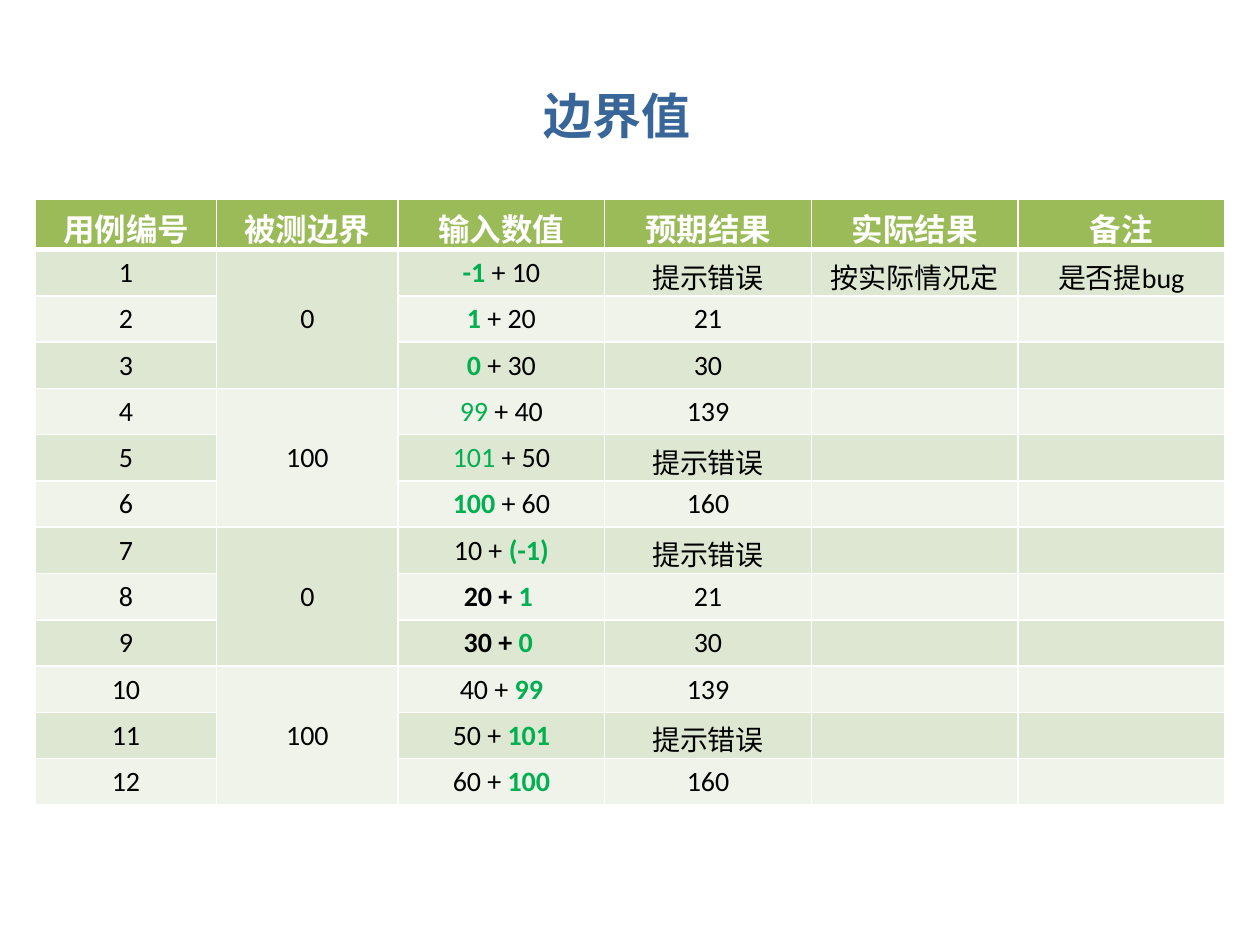
from lxml import etree
from pptx import Presentation
from pptx.dml.color import RGBColor
from pptx.enum.text import MSO_ANCHOR, PP_ALIGN
from pptx.oxml.ns import qn
from pptx.util import Inches, Pt

CENTER = PP_ALIGN.CENTER
MIDDLE = MSO_ANCHOR.MIDDLE
COLORS = {
    "title": "386698", "header": "9BBB59", "odd": "DEE7D1", "even": "EFF3EA",
    "border": "FFFFFF", "header_text": "FFFFFF", "text": "000000", "boundary": "00B050",
}
HEADERS = ["用例编号", "被测边界", "输入数值", "预期结果", "实际结果", "备注"]
BOUNDARIES = ["0", "100", "0", "100"]
CASES_PER_BOUNDARY = 3
# Runs of each input: text, colour name, bold
INPUTS = [
    [("-1 ", "boundary", True), ("+ 10", "text", False)],
    [("1 ", "boundary", True), ("+ 20", "text", False)],
    [("0 ", "boundary", True), ("+ 30", "text", False)],
    [("99", "boundary", False), (" + 40", "text", False)],
    [("101", "boundary", False), (" + 50", "text", False)],
    [("100", "boundary", True), (" + 60", "text", False)],
    [("10 + ", "text", False), ("(-1)", "boundary", True)],
    [("20 +", "text", True), (" 1 ", "boundary", True)],
    [("30 + ", "text", True), ("0 ", "boundary", True)],
    [("40 + ", "text", False), ("99", "boundary", True)],
    [("50 + ", "text", False), ("101", "boundary", True)],
    [("60 + ", "text", False), ("100", "boundary", True)],
]
EXPECTED = ["提示错误", "21", "30", "139", "提示错误", "160"] * 2
REMARKS = {1: ["按实际情况定", "是否提bug"]}


def write_runs(paragraph, runs, size, font_name):
    paragraph.alignment = CENTER
    for text, color, bold in runs:
        run = paragraph.add_run()
        run.text = text
        run.font.size = Pt(size)
        run.font.name = font_name
        run.font.bold = bold
        run.font.color.rgb = RGBColor.from_string(COLORS[color])
    if not runs:
        # An empty cell needs its text size too, or its row grows
        etree.SubElement(paragraph._p, qn("a:endParaRPr"), sz=str(size * 100))


def style_cell(cell, fill, top, bottom):
    """Set margins, anchor, borders (top and bottom widths in points) and fill."""
    cell.vertical_anchor = MIDDLE
    cell.margin_left = cell.margin_right = Inches(0.13)
    cell.margin_top = cell.margin_bottom = Inches(0.05)
    properties = cell._tc.get_or_add_tcPr()
    for side, width in (("L", 1), ("R", 1), ("T", top), ("B", bottom)):
        line = etree.SubElement(properties, qn(f"a:ln{side}"), w=str(Pt(width)))
        solid = etree.SubElement(line, qn("a:solidFill"))
        etree.SubElement(solid, qn("a:srgbClr"), val=COLORS["border"])
    cell.fill.solid()
    cell.fill.fore_color.rgb = RGBColor.from_string(COLORS[fill])


presentation = Presentation()
presentation.slide_width = Inches(10)
presentation.slide_height = Inches(7.5)
slide = presentation.slides.add_slide(presentation.slide_layouts[6])

# Title
title = slide.shapes.add_textbox(Inches(0.4), Inches(0.63), Inches(8.99), Inches(0.57))
title.text_frame.word_wrap = True
write_runs(title.text_frame.paragraphs[0], [("边界值", "title", True)], 28, "Roboto")

# Table grid: two narrow columns and four wide ones, a header and equal rows
column_widths = [1.44] * 2 + [1.64] * 4
table_height, header_height = 4.8, 0.39
row_height = (table_height - header_height) / len(INPUTS)
table = slide.shapes.add_table(
    len(INPUTS) + 1, len(HEADERS), Inches(0.28), Inches(1.58),
    Inches(sum(column_widths)), Inches(table_height),
).table
for column, width in zip(table.columns, column_widths):
    column.width = Inches(width)
for index, row in enumerate(table.rows):
    row.height = Inches(row_height if index else header_height)

# Header
for column, header in enumerate(HEADERS):
    cell = table.cell(0, column)
    style_cell(cell, "header", 1, 3)
    write_runs(cell.text_frame.paragraphs[0], [(header, "header_text", True)], 18, "Calibri")

# Test cases
for number, (inputs, expected) in enumerate(zip(INPUTS, EXPECTED), start=1):
    group, place = divmod(number - 1, CASES_PER_BOUNDARY)
    boundary = BOUNDARIES[group] if place == 0 else ""
    texts = [str(number), boundary, None, expected, *REMARKS.get(number, ["", ""])]
    for column, text in enumerate(texts):
        cell = table.cell(number, column)
        style_cell(cell, "odd" if number % 2 else "even", 3 if number == 1 else 1, 1)
        runs = inputs if text is None else [(text, "text", False)] if text else []
        write_runs(cell.text_frame.paragraphs[0], runs, 16, "Calibri")

# One boundary covers three cases
for first in range(1, len(INPUTS) + 1, CASES_PER_BOUNDARY):
    table.cell(first, 1).merge(table.cell(first + CASES_PER_BOUNDARY - 1, 1))

presentation.save("out.pptx")
